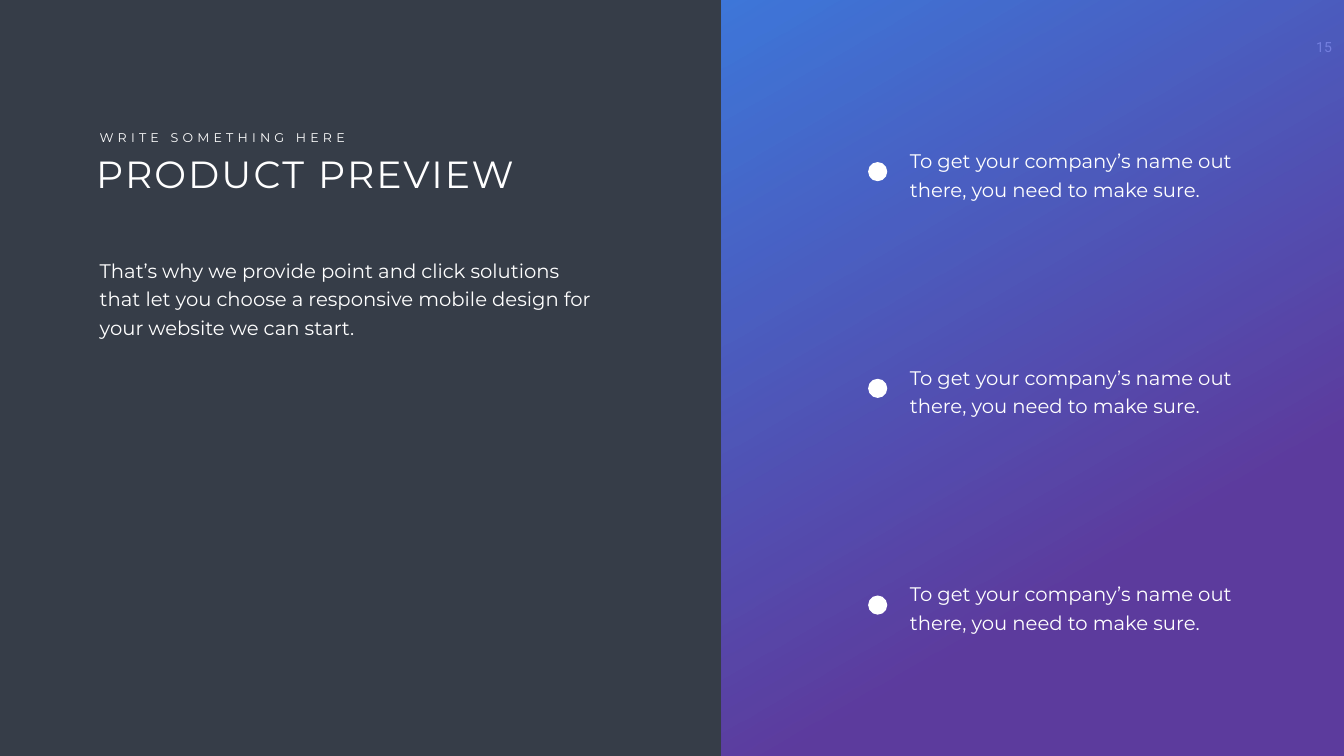
from pptx import Presentation
from pptx.dml.color import RGBColor
from pptx.enum.shapes import MSO_SHAPE as SHAPE
from pptx.enum.text import MSO_AUTO_SIZE as AUTO
from pptx.oxml.ns import qn
from pptx.util import Pt
from lxml.etree import SubElement

WIDTH, HEIGHT = 1919.52, 1080
SPLIT = 1030.32
WHITE = "FFFFFF"
POINT = "To get your company’s name out there, you need to make sure."
INTRO = ("That’s why we provide point and click solutions that let you choose "
         "a responsive mobile design for your website we can start.")


def rgb(value):
    """Turn a hex string into a colour."""
    return RGBColor.from_string(value)


def add_text(s, box, text, size, font="Montserrat", wrap=True, spacing=None,
             leading=None, inset=(7.2, 3.6)):
    """Add a white text box that grows with its text."""
    tf = s.shapes.add_textbox(*map(Pt, box)).text_frame
    tf.word_wrap = wrap
    tf.auto_size = AUTO.SHAPE_TO_FIT_TEXT
    tf.margin_left = tf.margin_right = Pt(inset[0])
    tf.margin_top = tf.margin_bottom = Pt(inset[1])
    p = tf.paragraphs[0]
    if leading:
        p.line_spacing = Pt(leading)
    r = p.add_run()
    r.text = text
    r.font.size = Pt(size)
    r.font.name = font
    r.font.color.rgb = rgb(WHITE)
    if spacing:
        r.font._element.set("spc", str(spacing * 100))


def add_plain_shape(s, kind, box):
    """Add a shape without line or shadow."""
    sp = s.shapes.add_shape(kind, *map(Pt, box))
    sp.shadow.inherit = False
    sp.line.fill.background()
    return sp


def add_page_number(s, x, y):
    """Add the page number in the upper right corner."""
    add_text(s, (x, y, 65.52, 38.88), "15", 20, font="Roboto", wrap=False,
             inset=(16.5, 7.2))


def add_gradient_panel(s, box):
    """Add the translucent panel running from blue to purple."""
    sp = add_plain_shape(s, SHAPE.RECTANGLE, box)
    sp.fill.gradient()
    sp.fill.gradient_angle = 300
    stops = zip(sp.fill.gradient_stops, ("3F85FC", "663BB2"), (0, 0.71))
    for stop, color, position in stops:
        stop.color.rgb = rgb(color)
        stop.position = position
    for color in sp._element.spPr.iter(qn("a:srgbClr")):
        SubElement(color, qn("a:alpha"), val="80000")


def add_intro(s, x, y):
    """Add the overline, title and introduction."""
    add_text(s, (x, y, 372.96, 28.8), "WRITE SOMETHING HERE", 18, wrap=False,
             spacing=6)
    add_text(s, (x - 5, y + 29.5, 689, 72.72), "PRODUCT PREVIEW", 54, spacing=3)
    add_text(s, (x, y + 176.4, 735.12, 128.16), INTRO, 28, leading=40.8)


def add_points(s, x, y, count=3, step=309.6):
    """Add evenly spaced points, each with a round marker."""
    for top in (y + i * step for i in range(count)):
        dot = add_plain_shape(s, SHAPE.OVAL, (x, top + 29.5, 27.36, 27.36))
        dot.fill.solid()
        dot.fill.fore_color.rgb = rgb(WHITE)
        add_text(s, (x + 52.56, top, 496.08, 86.4), POINT, 28, leading=40.8)


def main():
    """Build and save the slide."""
    prs = Presentation()
    prs.slide_width, prs.slide_height = Pt(WIDTH), Pt(HEIGHT)
    s = prs.slides.add_slide(prs.slide_layouts[6])
    s.background.fill.solid()
    s.background.fill.fore_color.rgb = rgb("363D48")
    add_page_number(s, 1863.36, 48.24)
    add_gradient_panel(s, (SPLIT, 0, WIDTH - SPLIT, HEIGHT))
    add_intro(s, 135.36, 182.16)
    add_points(s, 1239.84, 202)
    prs.save("out.pptx")


if __name__ == "__main__":
    main()
